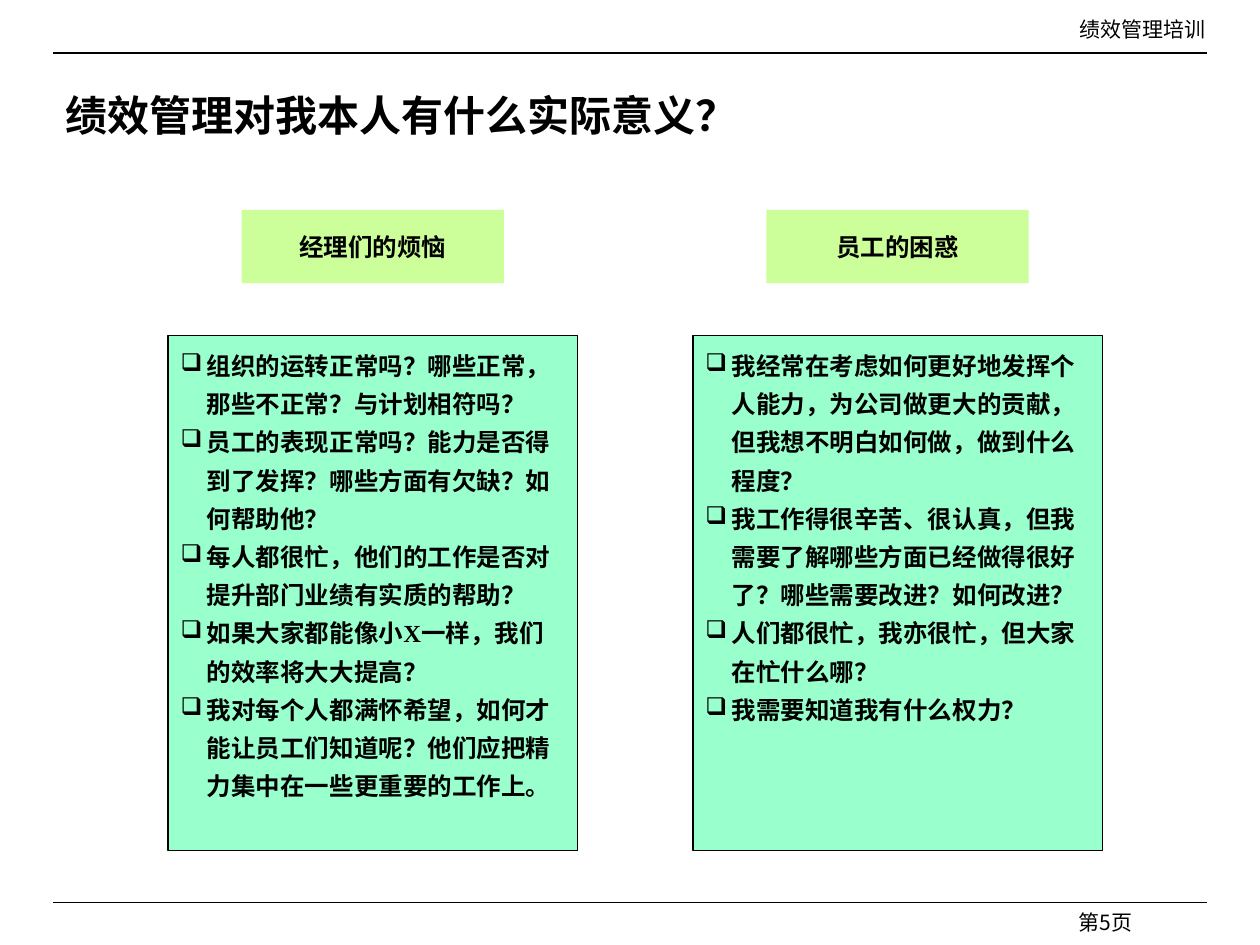
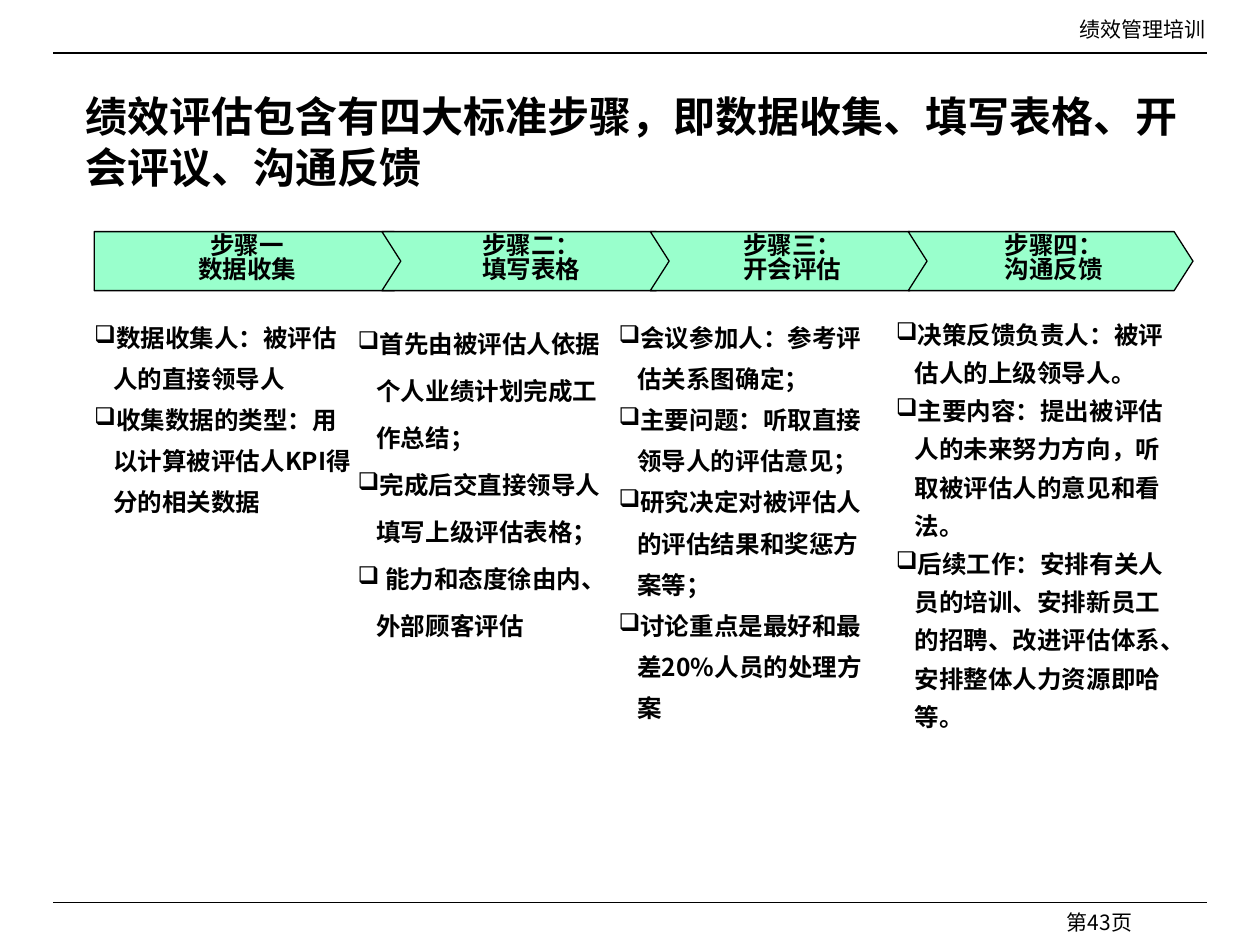
"""Build two performance management training slides."""
from dataclasses import dataclass

from lxml import etree
from pptx import Presentation
from pptx.dml.color import RGBColor
from pptx.enum.shapes import MSO_CONNECTOR, MSO_SHAPE
from pptx.enum.text import MSO_ANCHOR, MSO_AUTO_SIZE, PP_ALIGN
from pptx.oxml.ns import qn
from pptx.util import Cm, Pt

RECT = MSO_SHAPE.RECTANGLE
STRAIGHT = MSO_CONNECTOR.STRAIGHT
TOP, MIDDLE = MSO_ANCHOR.TOP, MSO_ANCHOR.MIDDLE
LEFT, CENTER, RIGHT = PP_ALIGN.LEFT, PP_ALIGN.CENTER, PP_ALIGN.RIGHT
FIT = MSO_AUTO_SIZE.SHAPE_TO_FIT_TEXT

COLORS = {"ink": "000000", "mint": "99FFCC", "lime": "CCFF99"}
SERIF, SANS = "Times New Roman", "Noto Sans CJK SC"
SINGLE = 1.2
RULE_W = Pt(0.75)
RULE_LEFT, RULE_RIGHT = 1.07, 24.33
BAR_TOP, BAR_H, TIP = 4.67, 1.19, 0.38


@dataclass(frozen=True)
class Box:
    left: float
    top: float
    width: float
    height: float

    def emu(self) -> tuple:
        return Cm(self.left), Cm(self.top), Cm(self.width), Cm(self.height)


@dataclass(frozen=True)
class Panel:
    left: float
    heading: str
    points: tuple


@dataclass(frozen=True)
class Step:
    left: float
    right: float
    label: tuple
    col_left: float
    col_width: float
    spacing: float
    points: tuple


PANELS = (
    Panel(3.39, "经理们的烦恼", (
        "组织的运转正常吗？哪些正常，那些不正常？与计划相符吗？",
        "员工的表现正常吗？能力是否得到了发挥？哪些方面有欠缺？如何帮助他？",
        "每人都很忙，他们的工作是否对提升部门业绩有实质的帮助？",
        "如果大家都能像小X一样，我们的效率将大大提高？",
        "我对每个人都满怀希望，如何才能让员工们知道呢？他们应把精力集中在一些更重要的工作上。",
    )),
    Panel(13.97, "员工的困惑", (
        "我经常在考虑如何更好地发挥个人能力，为公司做更大的贡献，但我想不明白如何做，做到什么程度？",
        "我工作得很辛苦、很认真，但我需要了解哪些方面已经做得很好了？哪些需要改进？如何改进？",
        "人们都很忙，我亦很忙，但大家在忙什么哪？",
        "我需要知道我有什么权力？",
    )),
)

STEPS = (
    Step(1.9, 8.33, ("步骤一", "数据收集"), 1.9, 5.33, 1.4, (
        "数据收集人：被评估人的直接领导人",
        "收集数据的类型：用以计算被评估人KPI得分的相关数据",
    )),
    Step(7.7, 13.61, ("步骤二：", "填写表格"), 7.21, 5.31, 1.6, (
        "首先由被评估人依据个人业绩计划完成工作总结；",
        "完成后交直接领导人填写上级评估表格；",
        " 能力和态度徐由内、外部顾客评估",
    )),
    Step(13.11, 18.72, ("步骤三：", "开会评估"), 12.47, 5.23, 1.4, (
        "会议参加人：参考评估关系图确定；",
        "主要问题：听取直接领导人的评估意见；",
        "研究决定对被评估人的评估结果和奖惩方案等；",
        "讨论重点是最好和最差20%人员的处理方案",
    )),
    Step(18.31, 24.05, ("步骤四：", "沟通反馈"), 18.06, 5.66, 1.3, (
        "决策反馈负责人：被评估人的上级领导人。",
        "主要内容：提出被评估人的未来努力方向，听取被评估人的意见和看法。",
        "后续工作：安排有关人员的培训、安排新员工的招聘、改进评估体系、安排整体人力资源即哈等。",
    )),
)


def rgb(name: str) -> RGBColor:
    return RGBColor.from_string(COLORS[name])


def add_bullet(p, indent: float) -> None:
    pPr = p._p.get_or_add_pPr()
    pPr.set("marL", str(Cm(indent)))
    pPr.set("indent", str(-Cm(indent)))
    clr = etree.SubElement(pPr, qn("a:buClr"))
    etree.SubElement(clr, qn("a:srgbClr")).set("val", COLORS["ink"])
    etree.SubElement(pPr, qn("a:buChar")).set("char", "❑")


def write(sp, paras: tuple, *, size: float = 14, font: str = SERIF,
          bold: bool = True, align=LEFT, anchor=TOP, spacing: float = 1.0,
          indent: float = 0, inset: tuple = (0.25, 0.13)) -> None:
    tf = sp.text_frame
    tf.word_wrap = True
    tf.vertical_anchor = anchor
    tf.margin_left = tf.margin_right = Cm(inset[0])
    tf.margin_top = tf.margin_bottom = Cm(inset[1])
    for i, text in enumerate(paras):
        p = tf.add_paragraph() if i else tf.paragraphs[0]
        p.alignment = align
        p.line_spacing = Pt(size * SINGLE * spacing)
        if indent:
            add_bullet(p, indent)
        r = p.add_run()
        r.text = text
        r.font.size = Pt(size)
        r.font.bold = bold
        r.font.name = font
        r.font.color.rgb = rgb("ink")
        etree.SubElement(r._r.get_or_add_rPr(), qn("a:ea")).set("typeface", SANS)


def add_text(slide, box: Box, *paras: str, **fmt):
    sp = slide.shapes.add_textbox(*box.emu())
    write(sp, paras, **fmt)
    return sp


def paint(sp, fill: str, outlined: bool) -> None:
    sp.shadow.inherit = False
    sp.fill.solid()
    sp.fill.fore_color.rgb = rgb(fill)
    if outlined:
        sp.line.color.rgb = rgb("ink")
        sp.line.width = RULE_W
    else:
        sp.line.fill.background()


def add_rect(slide, box: Box, fill: str, *paras: str,
             outlined: bool = False, **fmt) -> None:
    sp = slide.shapes.add_shape(RECT, *box.emu())
    paint(sp, fill, outlined)
    write(sp, paras, **fmt)


def add_rule(slide, y: float) -> None:
    line = slide.shapes.add_connector(
        STRAIGHT, Cm(RULE_LEFT), Cm(y), Cm(RULE_RIGHT), Cm(y))
    line.line.color.rgb = rgb("ink")
    line.line.width = RULE_W
    etree.SubElement(line._element.spPr, qn("a:effectLst"))


def add_slide(prs, page: int, title: str, box: Box, anchor):
    slide = prs.slides.add_slide(prs.slide_layouts[6])
    for y in (1.07, 18.2):
        add_rule(slide, y)
    add_text(slide, Box(17.78, 18.2, 5.29, 0.43), f"第{page}页",
             size=12, font=SANS, bold=False, align=RIGHT)
    add_text(slide, Box(12.7, 0.2, 11.85, 0.76), "绩效管理培训",
             size=12, bold=False, align=RIGHT)
    add_text(slide, box, title, size=24, anchor=anchor)
    return slide


def add_panel(slide, panel: Panel) -> None:
    add_rect(slide, Box(panel.left, 6.77, 8.26, 10.37), "mint", *panel.points,
             outlined=True, spacing=1.3, indent=0.53)
    add_rect(slide, Box(panel.left + 1.48, 4.23, 5.29, 1.48), "lime",
             panel.heading, align=CENTER, anchor=MIDDLE)


def add_step(slide, step: Step, notch: float) -> None:
    mid, bottom = BAR_TOP + BAR_H / 2, BAR_TOP + BAR_H
    shoulder = step.right - TIP
    outline = ((shoulder, BAR_TOP), (step.right, mid), (shoulder, bottom),
               (step.left, bottom), (step.left + notch, mid))
    fb = slide.shapes.build_freeform(Cm(step.left), Cm(BAR_TOP))
    fb.add_line_segments([(Cm(x), Cm(y)) for x, y in outline], close=True)
    paint(fb.convert_to_shape(), "mint", True)
    label_left = step.left + notch + 0.12
    add_rect(slide, Box(label_left, 4.72, shoulder - label_left, 1.04), "mint",
             *step.label, align=CENTER, anchor=MIDDLE, spacing=0.8,
             inset=(0.13, 0))
    sp = add_text(slide, Box(step.col_left, 6.27, step.col_width, 7),
                  *step.points, font=SANS, spacing=step.spacing, indent=0.38,
                  inset=(0, 0))
    sp.text_frame.auto_size = FIT


def main() -> None:
    prs = Presentation()
    prs.slide_width, prs.slide_height = Cm(25.4), Cm(19.05)

    slide = add_slide(prs, 5, "绩效管理对我本人有什么实际意义？",
                      Box(1.07, 1.47, 22.66, 1.7), MIDDLE)
    for panel in PANELS:
        add_panel(slide, panel)

    slide = add_slide(
        prs, 43, "绩效评估包含有四大标准步骤，即数据收集、填写表格、开会评议、沟通反馈",
        Box(1.47, 1.7, 23.11, 2.34), TOP)
    for i, step in enumerate(STEPS):
        add_step(slide, step, TIP if i else 0)

    prs.save("out.pptx")


if __name__ == "__main__":
    main()
